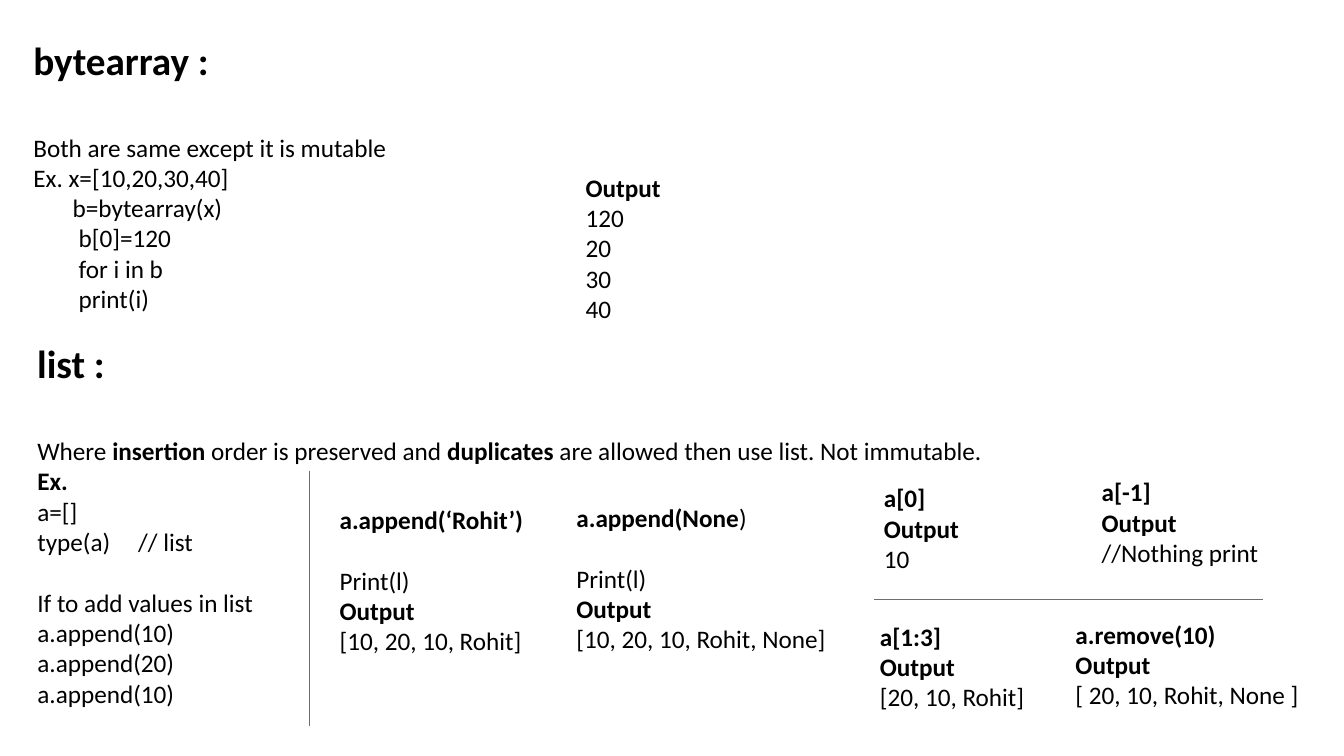
from dataclasses import dataclass

from lxml.etree import SubElement
from pptx import Presentation
from pptx.dml.color import RGBColor
from pptx.enum.shapes import MSO_CONNECTOR as Connector
from pptx.enum.text import MSO_ANCHOR as Anchor, MSO_AUTO_SIZE as AutoSize, PP_ALIGN as Align
from pptx.oxml.ns import qn
from pptx.util import Inches, Pt

WIDTH, HEIGHT = Inches(13.33), Inches(7.5)
FONT, INK, RULE = "Calibri", "000000", "4472C4"
HEADING_SIZE, BODY_SIZE, BLANK_LINE = 28, 18, 22


@dataclass
class Line:
    text: str
    gap: float = 0
    indent: float = 0
    tab: float = 0


BYTEARRAY_LINES = [
    Line("Both are same except it is mutable"),
    Line("Ex. x=[10,20,30,40]"),
    Line("b=bytearray(x)", indent=0.39),
    Line("b[0]=120", indent=0.45),
    Line("for i in b", indent=0.45),
    Line("print(i)", indent=0.45),
]
LIST_LINES = [
    Line("Where *insertion* order is preserved and *duplicates* are allowed then use list. Not immutable."),
    Line("*Ex.*"),
    Line("a=[]"),
    Line("type(a)\t// list", tab=0.89),
    Line("If to add values in list", gap=BLANK_LINE),
    Line("a.append(10)"),
    Line("a.append(20)"),
    Line("a.append(10)"),
]


def result_lines(call, result):
    return [Line(call), Line("*Output*"), Line(result)]


def append_lines(call, result):
    return [Line(call), Line("Print(l)", gap=BLANK_LINE), Line("*Output*"), Line(result)]


SNIPPETS = [
    ((42.83, 22.13, 10, 22), [Line(text) for text in ("*Output*", "120", "20", "30", "40")]),
    ((24.53, 66, 16, 22), append_lines("*a.append(‘Rohit’)*", "[10, 20, 10, Rohit]")),
    ((42.15, 65.73, 21, 22), append_lines("*a.append(None*)", "[10, 20, 10, Rohit, None]")),
    ((65.03, 63.2, 10, 14), result_lines("*a[0]*", "10")),
    ((81.23, 62.4, 14, 14), result_lines("*a[-1]*", "//Nothing print")),
    ((64.73, 81.47, 13, 14), result_lines("*a[1:3]*", "[20, 10, Rohit]")),
    ((79.28, 81.2, 19, 14), result_lines("*a.remove(10)*", "[ 20, 10, Rohit, None ]")),
]


def color(value):
    return RGBColor.from_string(value)


def across(share):
    return int(WIDTH * share / 100)


def down(share):
    return int(HEIGHT * share / 100)


def place(shape, box):
    left, top, width, height = box
    shape.left, shape.top = across(left), down(top)
    shape.width, shape.height = across(width), down(height)


def format_paragraph(paragraph, line):
    paragraph.alignment = Align.LEFT
    paragraph.line_spacing = 1.0
    paragraph.space_before, paragraph.space_after = Pt(line.gap), Pt(0)
    properties = paragraph._p.get_or_add_pPr()
    properties.set("marL", str(Inches(line.indent)))
    properties.set("indent", "0")
    SubElement(properties, qn("a:buNone"))
    if line.tab:
        stops = SubElement(properties, qn("a:tabLst"))
        SubElement(stops, qn("a:tab"), pos=str(Inches(line.tab)), algn="l")


def write_lines(shape, box, lines, size=BODY_SIZE):
    place(shape, box)
    frame = shape.text_frame
    frame.word_wrap = True
    frame.auto_size = AutoSize.NONE
    frame.vertical_anchor = Anchor.TOP
    for number, line in enumerate(lines):
        paragraph = frame.add_paragraph() if number else frame.paragraphs[0]
        format_paragraph(paragraph, line)
        for part, text in enumerate(line.text.split("*")):
            if text:
                run = paragraph.add_run()
                run.text = text
                run.font.name, run.font.size = FONT, Pt(size)
                run.font.bold = part % 2 == 1
                run.font.color.rgb = color(INK)


def add_section(heading, body, box, title, lines):
    left, top, width, height = box
    heading_rows, body_offset = 8, 12.67
    write_lines(heading, (left, top, width, heading_rows), [Line(f"*{title}*")], HEADING_SIZE)
    write_lines(body, (left, top + body_offset, width, height - body_offset), lines)


def add_snippet(slide, box, lines):
    write_lines(slide.shapes.add_textbox(0, 0, 0, 0), box, lines)


def add_rule(slide, left, top, right, bottom):
    rule = slide.shapes.add_connector(
        Connector.STRAIGHT, across(left), down(top), across(right), down(bottom))
    rule.line.color.rgb = color(RULE)
    rule.line.width = Pt(0.5)
    SubElement(rule._element.spPr, qn("a:effectLst"))


def main():
    presentation = Presentation()
    presentation.slide_width, presentation.slide_height = WIDTH, HEIGHT
    slide = presentation.slides.add_slide(presentation.slide_layouts[3])
    title, bytearray_body, list_body = list(slide.placeholders)[:3]
    for extra in list(slide.placeholders)[3:]:
        extra._element.getparent().remove(extra._element)

    add_section(title, bytearray_body, (1.73, 4.13, 30, 40), "bytearray :", BYTEARRAY_LINES)
    list_heading = slide.shapes.add_textbox(0, 0, 0, 0)
    add_section(list_heading, list_body, (2.03, 44.27, 92, 52), "list :", LIST_LINES)
    for box, lines in SNIPPETS:
        add_snippet(slide, box, lines)
    add_rule(slide, 23.03, 62.27, 23.03, 96)
    add_rule(slide, 65.03, 79.33, 94, 79.33)
    presentation.save("out.pptx")


if __name__ == "__main__":
    main()
